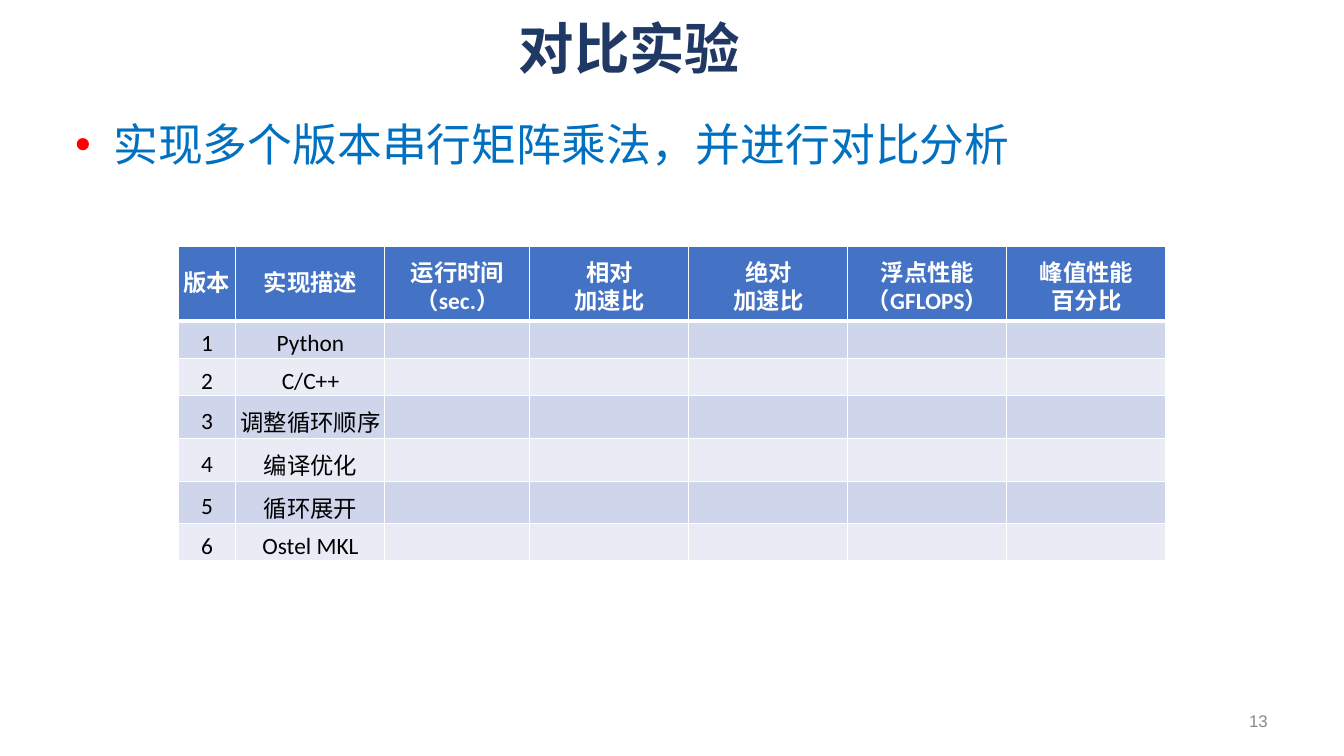
import dataclasses

import lxml.etree
import pptx
import pptx.dml.color
import pptx.enum.text
import pptx.oxml.ns
import pptx.util

PX = 914400 // 84
ALIGN = pptx.enum.text.PP_ALIGN
ANCHOR = pptx.enum.text.MSO_ANCHOR


@dataclasses.dataclass(frozen=True)
class Theme:
    title: str = "203864"
    topic: str = "0070C0"
    bullet: str = "FF0000"
    number: str = "898989"
    header: str = "4472C4"
    bands: tuple = ("CFD5EA", "E9EBF5")
    white: str = "FFFFFF"
    black: str = "000000"
    title_size: float = 47.5
    topic_size: float = 38.4
    number_size: float = 14.4
    table_size: float = 20
    header_leading: float = 24


THEME = Theme()
COLUMN_WIDTHS = [58, 149, 145] + [159] * 4
ROW_HEIGHTS = [74, 38, 37, 43, 43, 42, 37]
HEADERS = ["版本", "实现描述", "运行时间\n（sec.）", "相对\n加速比",
           "绝对\n加速比", "浮点性能\n（GFLOPS）", "峰值性能\n百分比"]
VERSIONS = ["Python", "C/C++", "调整循环顺序", "编译优化", "循环展开", "Ostel MKL"]


def px(length):
    return pptx.util.Emu(length * PX)


def rgb(value):
    return pptx.dml.color.RGBColor.from_string(value)


def write(frame, text, *, size, color, font, bold=False, align=ALIGN.LEFT,
          leading=None):
    """Fill a text frame, one paragraph for each line of text."""
    for index, line in enumerate(text.split("\n")):
        paragraph = frame.paragraphs[0] if index == 0 else frame.add_paragraph()
        paragraph.alignment = align
        if leading:
            paragraph.line_spacing = pptx.util.Pt(leading)
        run = paragraph.add_run()
        run.text = line
        run.font.size = pptx.util.Pt(size)
        run.font.name = font
        run.font.bold = bold
        run.font.color.rgb = rgb(color)


def add_text(slide, text, box, anchor=ANCHOR.TOP, **text_format):
    frame = slide.shapes.add_textbox(*map(px, box)).text_frame
    frame.word_wrap = True
    frame.vertical_anchor = anchor
    write(frame, text, **text_format)
    return frame


def add_bullet(paragraph, indent, color):
    properties = paragraph._p.get_or_add_pPr()
    properties.set("marL", str(px(indent)))
    properties.set("indent", str(-px(indent)))
    qn = pptx.oxml.ns.qn
    bullet_color = lxml.etree.SubElement(properties, qn("a:buClr"))
    lxml.etree.SubElement(bullet_color, qn("a:srgbClr"), val=color)
    lxml.etree.SubElement(properties, qn("a:buFont"), typeface="Arial")
    lxml.etree.SubElement(properties, qn("a:buChar"), char="•")


def set_borders(cell, top, bottom):
    """Draw white cell borders; top and bottom are widths in points."""
    qn = pptx.oxml.ns.qn
    properties = cell._tc.get_or_add_tcPr()
    widths = {"a:lnL": 1, "a:lnR": 1, "a:lnT": top, "a:lnB": bottom}
    for position, (tag, width) in enumerate(widths.items()):
        line = lxml.etree.Element(qn(tag), w=str(pptx.util.Pt(width)))
        fill = lxml.etree.SubElement(line, qn("a:solidFill"))
        lxml.etree.SubElement(fill, qn("a:srgbClr"), val=THEME.white)
        properties.insert(position, line)


def fill_cell(cell, text, row):
    is_header = row == 0
    cell.fill.solid()
    cell.fill.fore_color.rgb = rgb(
        THEME.header if is_header else THEME.bands[(row - 1) % 2])
    set_borders(cell, top=3 if row == 1 else 1, bottom=3 if is_header else 1)
    if not text:
        return
    cell.vertical_anchor = ANCHOR.MIDDLE
    cell.margin_left = cell.margin_right = px(1)
    cell.margin_bottom = 0
    cell.margin_top = px(8 if not is_header or "\n" in text else 1)
    write(cell.text_frame, text, size=THEME.table_size, font="Calibri",
          color=THEME.white if is_header else THEME.black, bold=is_header,
          align=ALIGN.CENTER, leading=THEME.header_leading if is_header else None)


def add_results_table(slide, left, top):
    rows = [HEADERS] + [[str(number), version] + [""] * 5
                        for number, version in enumerate(VERSIONS, 1)]
    table = slide.shapes.add_table(
        len(rows), len(HEADERS), px(left), px(top),
        px(sum(COLUMN_WIDTHS)), px(sum(ROW_HEIGHTS))).table
    for column, width in zip(table.columns, COLUMN_WIDTHS):
        column.width = px(width)
    for row, height in zip(table.rows, ROW_HEIGHTS):
        row.height = px(height)
    for row, texts in enumerate(rows):
        for column, text in enumerate(texts):
            fill_cell(table.cell(row, column), text, row)


def main():
    deck = pptx.Presentation()
    deck.slide_width, deck.slide_height = px(1344), px(756)
    slide = deck.slides.add_slide(deck.slide_layouts[6])

    add_text(slide, "对比实验", (196, 8, 867, 78), ANCHOR.MIDDLE,
             size=THEME.title_size, color=THEME.title, font="Arial",
             bold=True, align=ALIGN.CENTER)
    topic = add_text(slide, "实现多个版本串行矩阵乘法，并进行对比分析",
                     (67, 113, 1210, 562), size=THEME.topic_size,
                     color=THEME.topic, font="Roboto")
    add_bullet(topic.paragraphs[0], 38, THEME.bullet)
    add_results_table(slide, 178, 247)
    add_text(slide, "13", (963, 701, 313, 40), ANCHOR.MIDDLE,
             size=THEME.number_size, color=THEME.number, font="Arial",
             align=ALIGN.RIGHT)
    deck.save("out.pptx")


if __name__ == "__main__":
    main()
